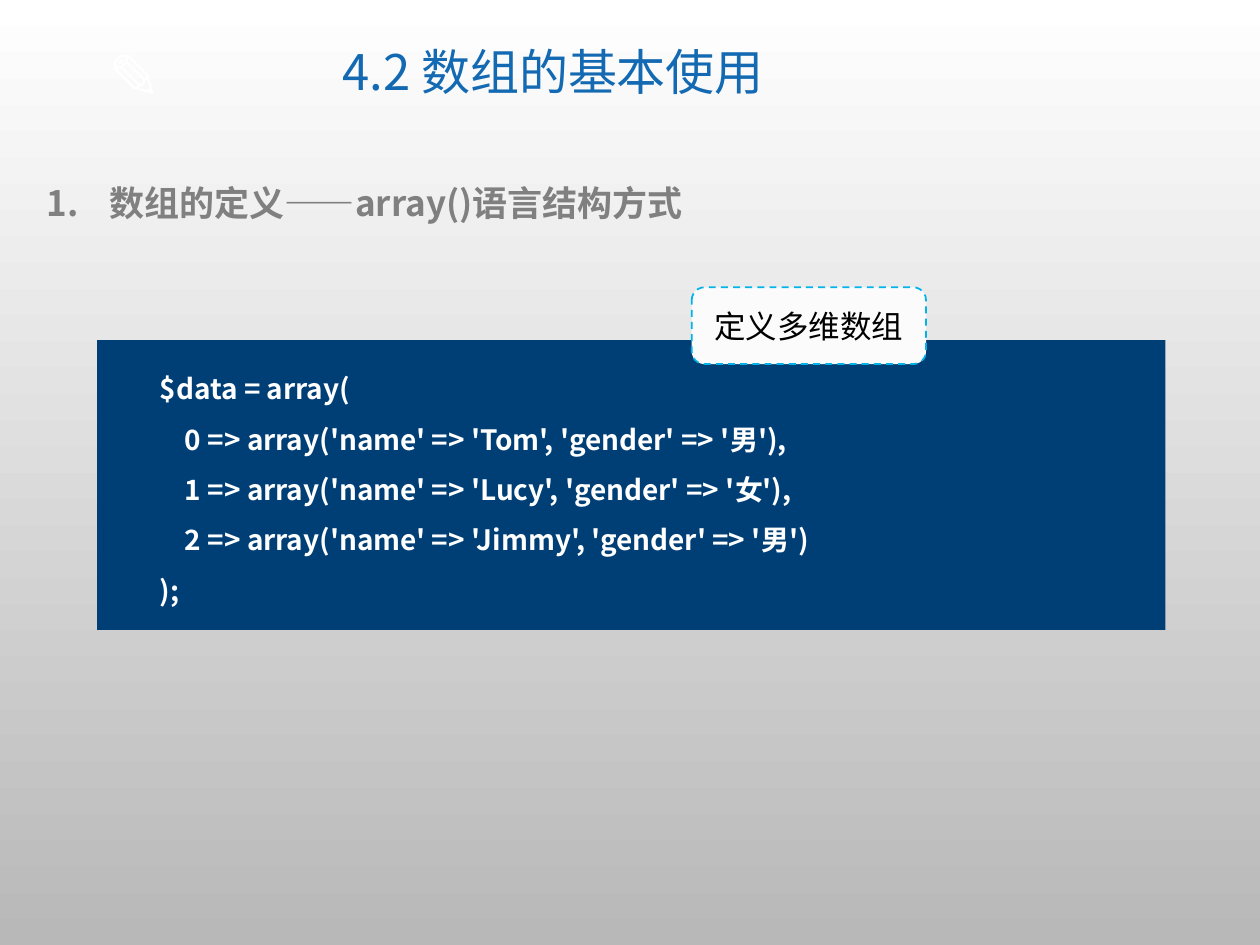
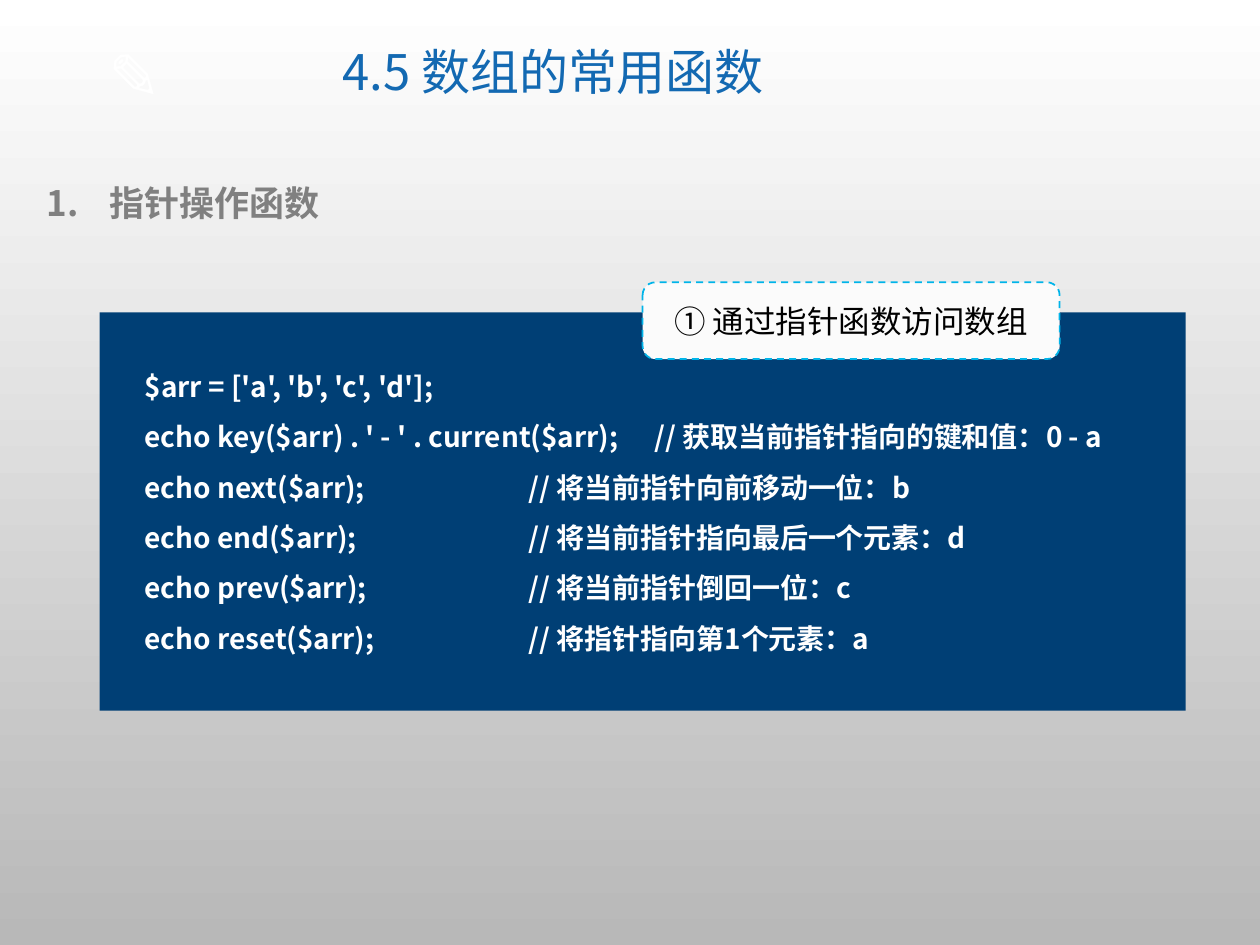
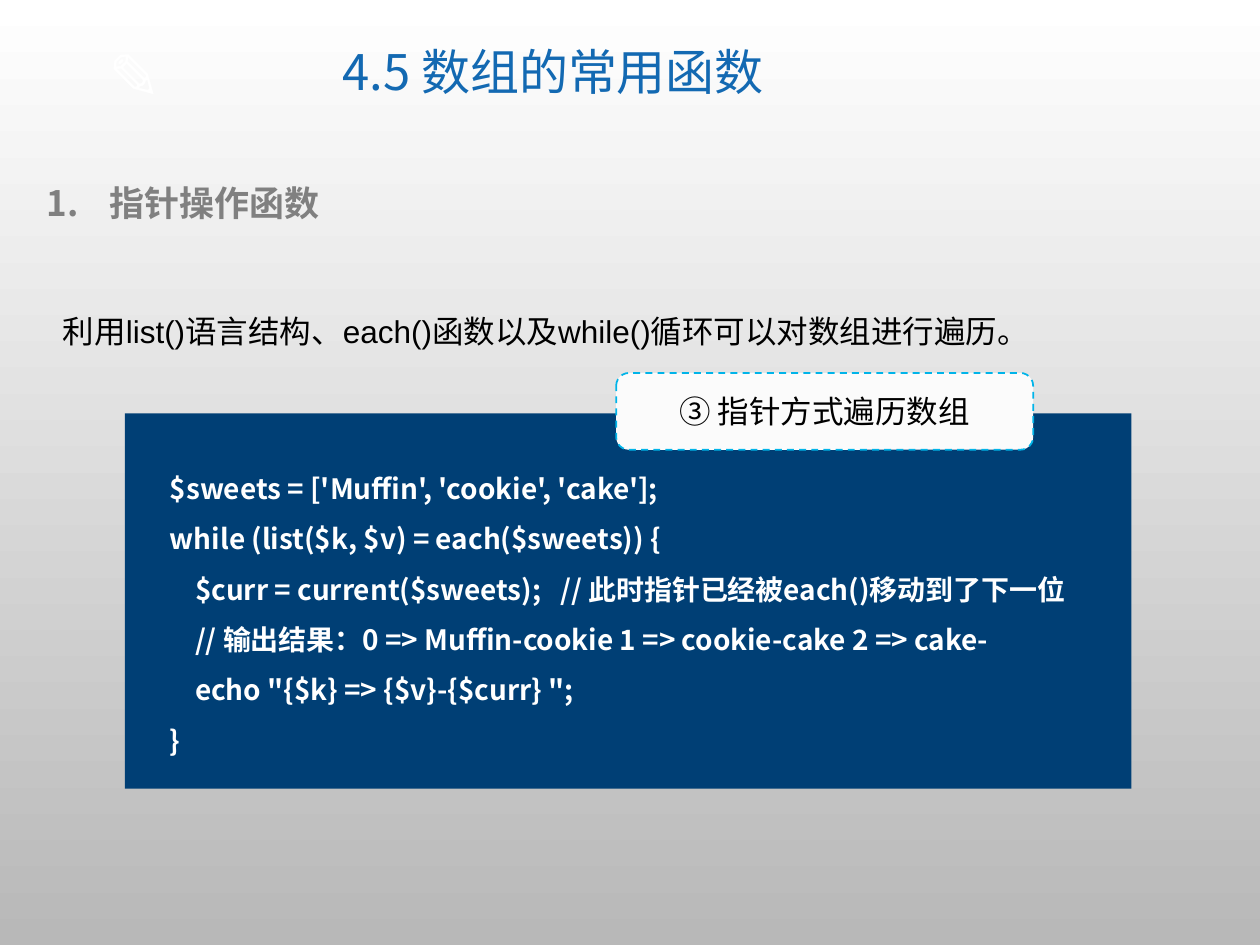
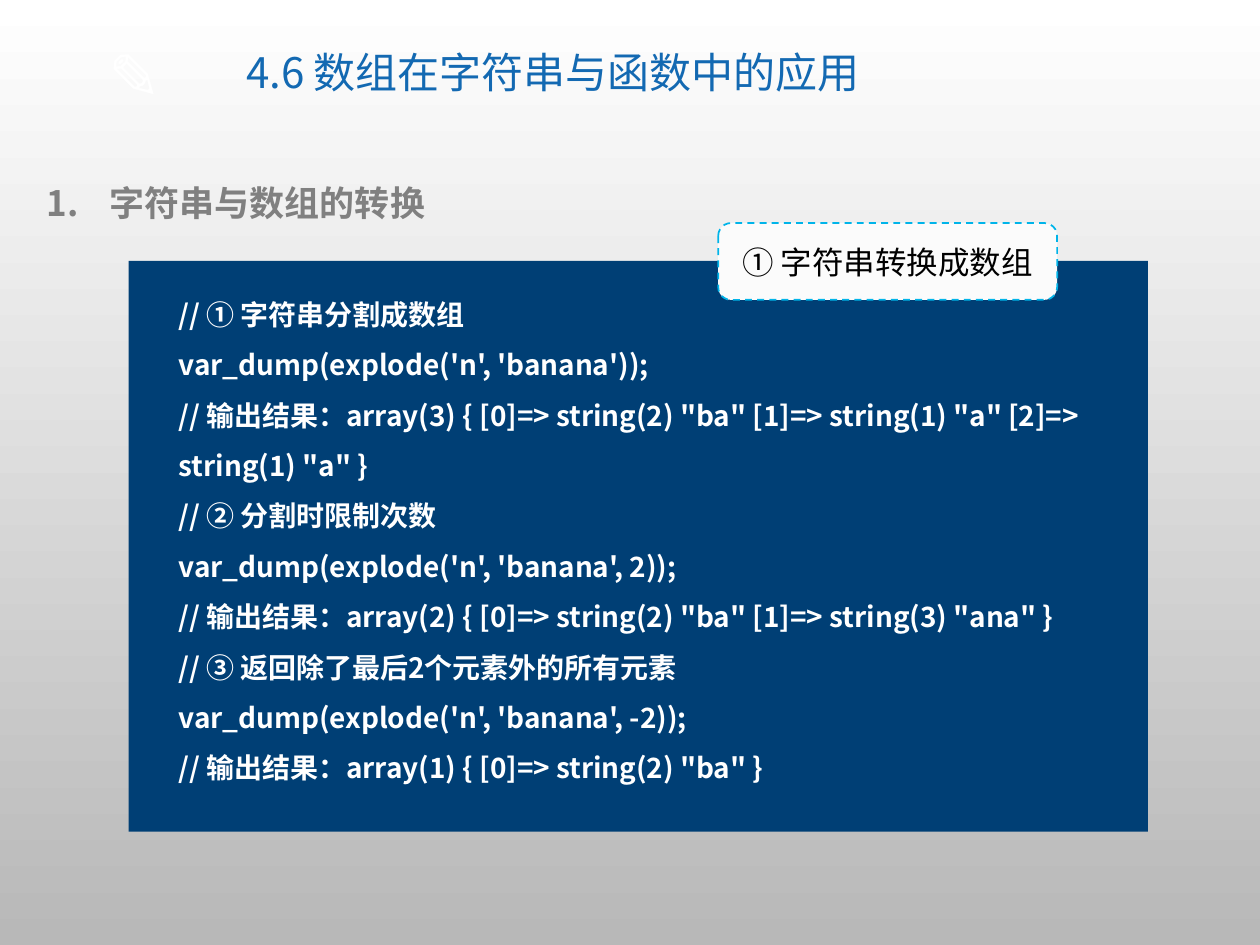
import lxml.etree
import pptx
import pptx.dml.color
import pptx.enum.dml
import pptx.enum.shapes
import pptx.enum.text
import pptx.oxml.ns
import pptx.util

Inches = pptx.util.Inches
Pt = pptx.util.Pt
PP_ALIGN = pptx.enum.text.PP_ALIGN
AUTO_SIZE = pptx.enum.text.MSO_AUTO_SIZE
SHAPE = pptx.enum.shapes.MSO_SHAPE

COLORS = {
    "white": "FFFFFF",
    "background end": "B8B8B8",
    "title": "1369B2",
    "heading": "808080",
    "code panel": "003F75",
    "callout fill": "FBFBFB",
    "callout line": "00B4E9",
    "black": "000000",
}
MAIN_FONT = "Noto Sans CJK SC"


def color(name):
    return pptx.dml.color.RGBColor.from_string(COLORS[name])


def add_xml(parent, tag, **attributes):
    return lxml.etree.SubElement(parent, pptx.oxml.ns.qn(tag), attributes)


def write_text(frame, text, size=16, ink="black", font=MAIN_FONT, bold=False,
               align=PP_ALIGN.LEFT, spacing=1.0, tab_stops=()):
    """Fill a text frame, one paragraph for each line of text."""
    for index, line in enumerate(text.split("\n")):
        paragraph = frame.add_paragraph() if index else frame.paragraphs[0]
        paragraph.alignment = align
        paragraph.line_spacing = spacing
        paragraph.space_before = Pt(0)
        if tab_stops:
            tab_list = add_xml(paragraph._p.get_or_add_pPr(), "a:tabLst")
            for stop in tab_stops:
                add_xml(tab_list, "a:tab", pos=str(Inches(stop)), algn="l")
        run = paragraph.add_run()
        run.text = line
        run.font.size = Pt(size)
        run.font.bold = bold
        run.font.color.rgb = color(ink)
        run.font.name = font
        add_xml(run._r.get_or_add_rPr(), "a:ea", typeface=MAIN_FONT)


def place(shape, box):
    shape.left, shape.top, shape.width, shape.height = map(Inches, box)


class Deck:
    def __init__(self):
        self.presentation = pptx.Presentation()
        self.presentation.slide_width = Inches(10)
        self.presentation.slide_height = Inches(7.5)
        self.slide = None
        fill = self.presentation.slide_master.background.fill
        fill.gradient()
        fill.gradient_angle = 270
        for stop, name in zip(fill.gradient_stops, ("white", "background end")):
            stop.color.rgb = color(name)

    def new_slide(self, title, heading, title_size=28):
        first = self.slide is None
        layout = self.presentation.slide_layouts.get_by_name("Title and Content")
        self.slide = self.presentation.slides.add_slide(layout)
        if first:
            self.master_icon()
        self.title(title, title_size)
        self.heading(heading)

    def master_icon(self):
        """Put the pencil on the master, behind every slide."""
        icon = self.text((0.76, 0.24, 0.86, 0.71), "✎", size=36,
                         ink="white", bold=True)
        icon.text_frame.word_wrap = False
        self.presentation.slide_master.shapes.element.append(icon.element)

    def title(self, text, size):
        title = self.slide.shapes.title
        place(title, (1.81, 0.17, 5.16, 0.85))
        title.text_frame.auto_size = AUTO_SIZE.NONE
        title.text_frame.vertical_anchor = pptx.enum.text.MSO_ANCHOR.MIDDLE
        write_text(title.text_frame, text, size=size, ink="title",
                   align=PP_ALIGN.CENTER, spacing=0.9)

    def heading(self, text):
        body = self.slide.placeholders[1]
        place(body, (0.27, 1.39, 9.22, 0.44))
        body.text_frame.auto_size = AUTO_SIZE.SHAPE_TO_FIT_TEXT
        write_text(body.text_frame, text, size=20, ink="heading", bold=True)
        properties = body.text_frame.paragraphs[0]._p.get_or_add_pPr()
        properties.set("marL", str(Inches(0.5)))
        properties.set("indent", str(Inches(-0.5)))
        add_xml(properties, "a:buFont", typeface="+mj-lt")
        add_xml(properties, "a:buAutoNum", type="arabicPeriod")

    def text(self, box, text, shapes=None, **style):
        shapes = self.slide.shapes if shapes is None else shapes
        text_box = shapes.add_textbox(*map(Inches, box))
        text_box.text_frame.word_wrap = True
        text_box.text_frame.auto_size = AUTO_SIZE.SHAPE_TO_FIT_TEXT
        write_text(text_box.text_frame, text, **style)
        return text_box

    def panel(self, shapes, kind, box, fill):
        shape = shapes.add_shape(kind, *map(Inches, box))
        shape.shadow.inherit = False
        shape.fill.solid()
        shape.fill.fore_color.rgb = color(fill)
        shape.line.fill.background()
        return shape

    def code(self, panel_box, text_box, text, tab_stops=()):
        group = self.slide.shapes.add_group_shape()
        self.panel(group.shapes, SHAPE.RECTANGLE, panel_box, "code panel")
        self.text(text_box, text, group.shapes, ink="white", bold=True,
                  spacing=1.5, tab_stops=tab_stops)

    def callout(self, left, top, width, text):
        shape = self.panel(self.slide.shapes, SHAPE.ROUNDED_RECTANGLE,
                           (left, top, width, 0.61), "callout fill")
        shape.line.color.rgb = color("callout line")
        shape.line.width = Pt(1)
        shape.line.dash_style = pptx.enum.dml.MSO_LINE.DASH
        shape.text_frame.vertical_anchor = pptx.enum.text.MSO_ANCHOR.MIDDLE
        write_text(shape.text_frame, text, size=18, font="Calibri",
                   align=PP_ALIGN.CENTER)


def main():
    deck = Deck()

    # Defining arrays
    deck.new_slide("4.2 数组的基本使用", "数组的定义——array()语言结构方式")
    deck.code((0.77, 2.7, 8.48, 2.3), (1.17, 2.77, 7.93, 2.07), """$data = array(
\t0 => array('name' => 'Tom', 'gender' => '男'),
\t1 => array('name' => 'Lucy', 'gender' => '女'),
\t2 => array('name' => 'Jimmy', 'gender' => '男')
);""", tab_stops=(0.2,))
    deck.callout(5.49, 2.28, 1.86, "定义多维数组")

    # Pointer functions
    deck.new_slide("4.5 数组的常用函数", "指针操作函数")
    deck.code((0.79, 2.48, 8.62, 3.16), (1.05, 2.75, 8.42, 2.52),
              """$arr = ['a', 'b', 'c', 'd'];
echo key($arr) . ' - ' . current($arr);\t // 获取当前指针指向的键和值：0 - a
echo next($arr);\t // 将当前指针向前移动一位：b
echo end($arr);\t // 将当前指针指向最后一个元素：d
echo prev($arr);\t // 将当前指针倒回一位：c
echo reset($arr);\t // 将指针指向第1个元素：a""", tab_stops=(3, 4))
    deck.callout(5.1, 2.24, 3.31, "① 通过指针函数访问数组")

    # Walking through an array with the pointer
    deck.new_slide("4.5 数组的常用函数", "指针操作函数")
    deck.code((0.99, 3.28, 7.99, 2.98), (1.25, 3.56, 7.83, 2.53),
              """$sweets = ['Muffin', 'cookie', 'cake'];
while (list($k, $v) = each($sweets)) {
\t$curr = current($sweets);\t// 此时指针已经被each()移动到了下一位
\t// 输出结果：0 => Muffin-cookie 1 => cookie-cake 2 => cake-
\techo "{$k} => {$v}-{$curr} ";
}""", tab_stops=(0.2, 3.1))
    deck.callout(4.89, 2.96, 3.31, "③ 指针方式遍历数组")
    deck.text((0.4, 2.13, 9.19, 0.71),
              "利用list()语言结构、each()函数以及while()循环可以对数组进行遍历。",
              size=18, font="Arial", spacing=2.0)

    # Converting between strings and arrays
    deck.new_slide("4.6 数组在字符串与函数中的应用", "字符串与数组的转换", title_size=24)
    deck.code((1.02, 2.07, 8.09, 4.53), (1.32, 2.18, 7.64, 4.14),
              """// ① 字符串分割成数组
var_dump(explode('n', 'banana'));
// 输出结果：array(3) { [0]=> string(2) "ba" [1]=> string(1) "a" [2]=> string(1) "a" }
// ② 分割时限制次数
var_dump(explode('n', 'banana', 2));
// 输出结果：array(2) { [0]=> string(2) "ba" [1]=> string(3) "ana" }
// ③ 返回除了最后2个元素外的所有元素
var_dump(explode('n', 'banana', -2));
// 输出结果：array(1) { [0]=> string(2) "ba" }""")
    deck.callout(5.7, 1.77, 2.69, "① 字符串转换成数组")

    deck.presentation.save("out.pptx")


if __name__ == "__main__":
    main()
